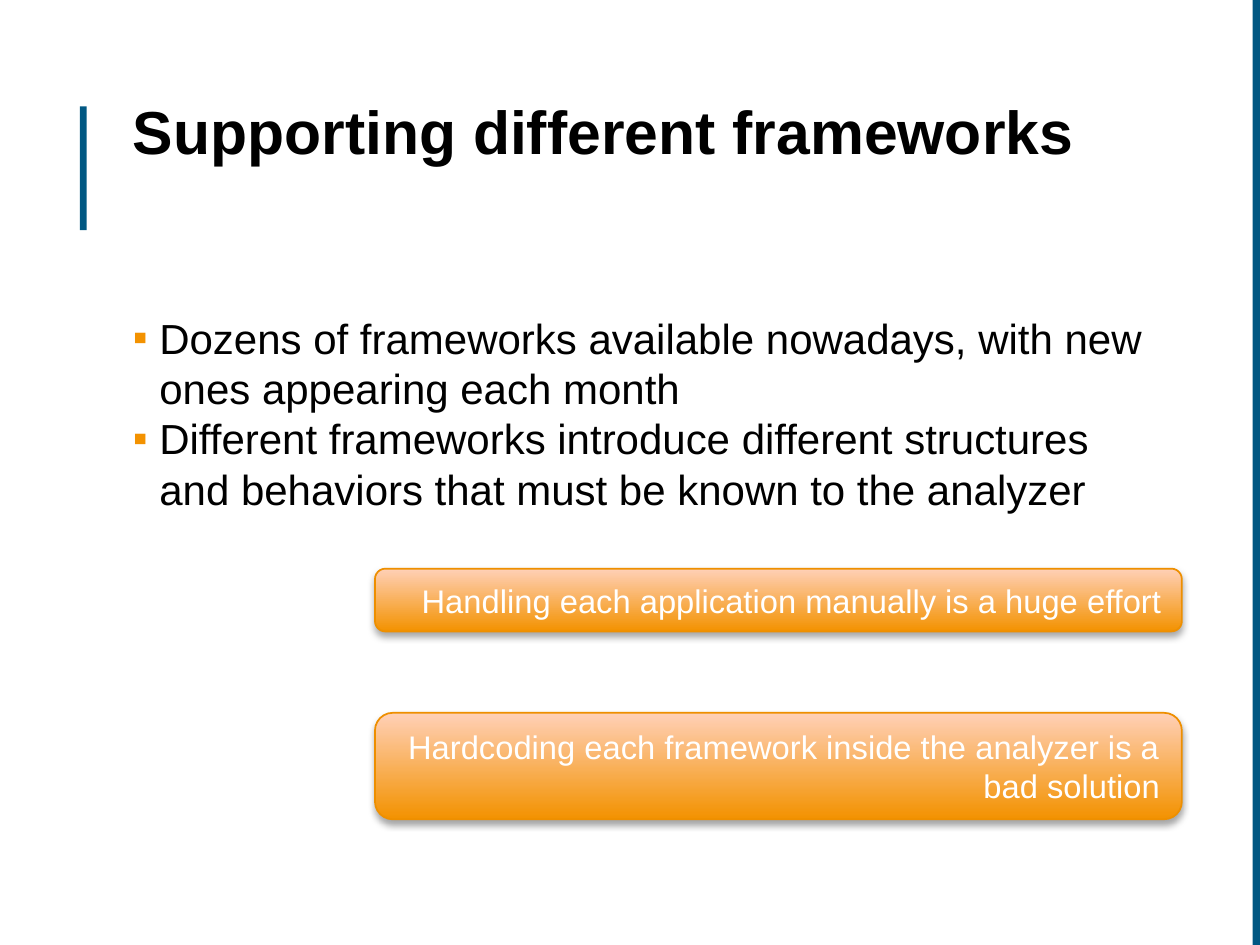
"""Build a slide on supporting different frameworks in code analysis."""
import pptx
import pptx.dml.color
import pptx.enum.shapes
import pptx.enum.text
import pptx.oxml
import pptx.oxml.ns
import pptx.util

Cm = pptx.util.Cm
Pt = pptx.util.Pt
RGBColor = pptx.dml.color.RGBColor
MSO_SHAPE = pptx.enum.shapes.MSO_SHAPE
MSO_ANCHOR = pptx.enum.text.MSO_ANCHOR
PP_ALIGN = pptx.enum.text.PP_ALIGN

TITLE = "Supporting different frameworks"
BULLETS = [
    "Dozens of frameworks available nowadays, with new ones appearing each month",
    "Different frameworks introduce different structures and behaviors that must be known to the analyzer",
]
CALLOUTS = [
    ("Hardcoding each framework inside the analyzer is a bad solution", 10.78, 1.61),
    ("Handling each application manually is a huge effort", 8.6, 0.95),
]
BARS = [(1.21, 1.61, 0.1, 1.87), (18.94, 0, 0.11, 14.29)]

BLACK = RGBColor(0x00, 0x00, 0x00)
WHITE = RGBColor(0xFF, 0xFF, 0xFF)
BLUE = RGBColor(0x01, 0x58, 0x83)
ORANGE = RGBColor(0xF3, 0x92, 0x00)
PEACH = RGBColor(0xFF, 0xD0, 0xB7)
EDGE = RGBColor(0xEE, 0x8F, 0x00)

NS = pptx.oxml.ns.nsdecls("a")
SHADOW = (
    f'<a:effectLst {NS}><a:outerShdw blurRad="{Pt(3.1)}" dist="{Pt(1.8)}" dir="5400000" rotWithShape="0">'
    '<a:srgbClr val="000000"><a:alpha val="35000"/></a:srgbClr></a:outerShdw></a:effectLst>'
)
TEXT_LEFT, TEXT_WIDTH = 1.76, 16.1
CALLOUT_LEFT, CALLOUT_WIDTH = 5.67, 12.2
INDENT = Cm(0.4)


def add_bullet(p):
    pPr = p._p.get_or_add_pPr()
    pPr.set("marL", str(INDENT))
    pPr.set("indent", str(-INDENT))
    for xml in (
        f'<a:buClr {NS}><a:srgbClr val="{ORANGE}"/></a:buClr>',
        f'<a:buFont {NS} typeface="Arial"/>',
        f'<a:buChar {NS} char="▪"/>',
    ):
        pPr.append(pptx.oxml.parse_xml(xml))


def write_text(sp, lines, size, color=BLACK, bold=False, align=PP_ALIGN.LEFT,
               anchor=MSO_ANCHOR.TOP, bullets=False):
    tf = sp.text_frame
    tf.word_wrap = True
    tf.vertical_anchor = anchor
    tf.margin_left = tf.margin_right = Cm(0.25)
    if anchor == MSO_ANCHOR.TOP:
        tf.margin_top = tf.margin_bottom = Cm(0.25)
    for i, line in enumerate(lines):
        p = tf.add_paragraph() if i else tf.paragraphs[0]
        p.alignment = align
        if bullets:
            add_bullet(p)
        r = p.add_run()
        r.text = line
        r.font.name = "Arial"
        r.font.size = Pt(size)
        r.font.bold = bold
        r.font.color.rgb = color


prs = pptx.Presentation()
prs.slide_width, prs.slide_height = Cm(19.05), Cm(14.29)
s = prs.slides.add_slide(prs.slide_layouts[6])

for box in BARS:
    sp = s.shapes.add_shape(MSO_SHAPE.RECTANGLE, *map(Cm, box))
    sp.shadow.inherit = False
    sp.fill.solid()
    sp.fill.fore_color.rgb = BLUE
    sp.line.fill.background()

title = s.shapes.add_textbox(Cm(TEXT_LEFT), Cm(1.17), Cm(TEXT_WIDTH), Cm(2.39))
write_text(title, [TITLE], 26, bold=True)
body = s.shapes.add_textbox(Cm(TEXT_LEFT), Cm(4.47), Cm(TEXT_WIDTH), Cm(9.22))
write_text(body, BULLETS, 18, bullets=True)

for text, top, height in CALLOUTS:
    sp = s.shapes.add_shape(MSO_SHAPE.ROUNDED_RECTANGLE, Cm(CALLOUT_LEFT), Cm(top),
                            Cm(CALLOUT_WIDTH), Cm(height))
    sp.fill.gradient()
    sp.fill.gradient_angle = 90
    for stop, color in zip(sp.fill.gradient_stops, (ORANGE, PEACH)):
        stop.color.rgb = color
    sp.line.color.rgb = EDGE
    sp.line.width = Pt(0.75)
    sp._element.spPr.append(pptx.oxml.parse_xml(SHADOW))
    write_text(sp, [text], 14, color=WHITE, align=PP_ALIGN.RIGHT, anchor=MSO_ANCHOR.MIDDLE)

prs.save("out.pptx")
